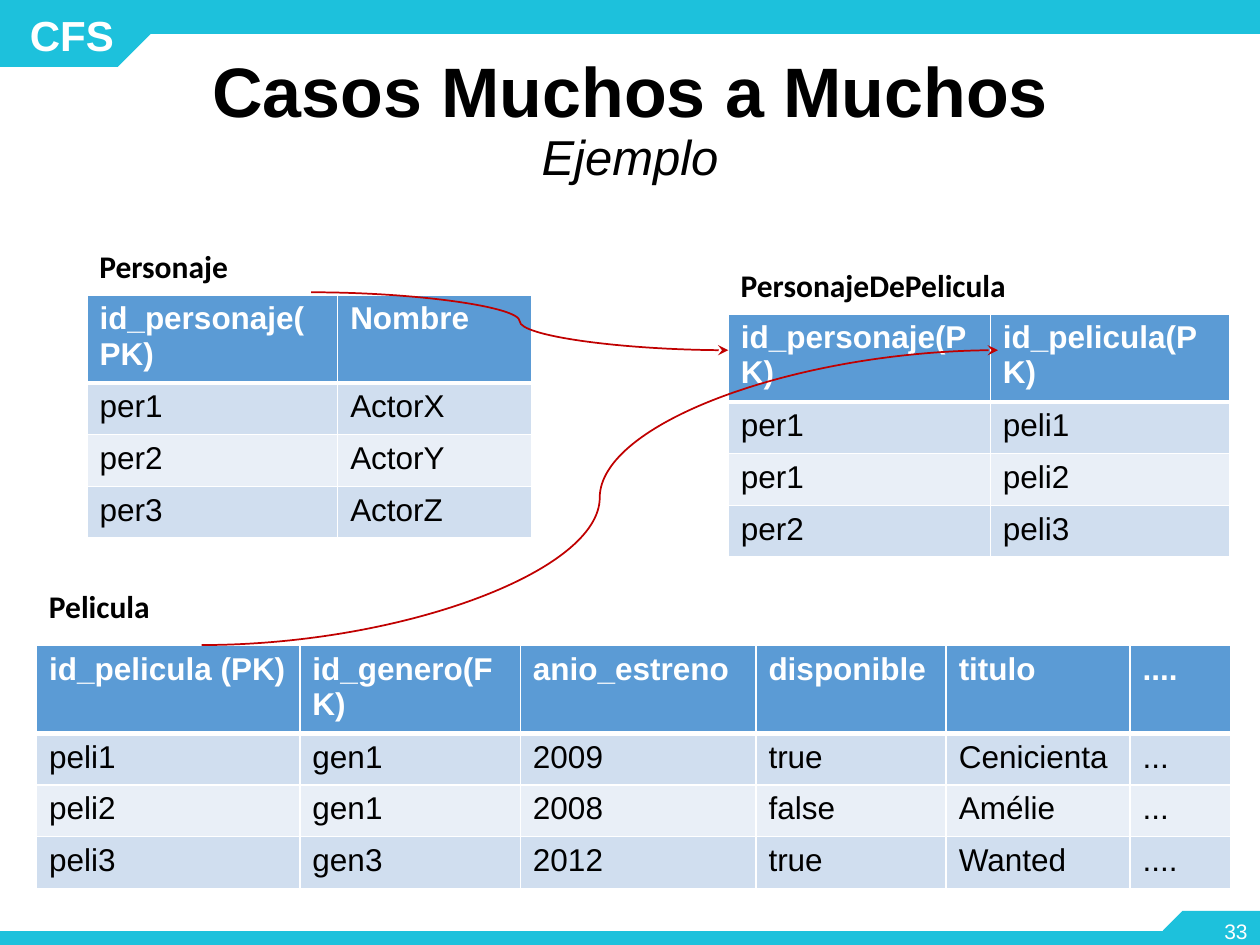
from lxml.etree import SubElement
from pptx import Presentation
from pptx.dml.color import RGBColor
from pptx.enum.shapes import MSO_CONNECTOR as Link, MSO_SHAPE as Preset
from pptx.enum.text import MSO_ANCHOR as Anchor, PP_ALIGN as Align
from pptx.oxml.ns import qn
from pptx.util import Inches, Pt

CYAN = RGBColor(0x1D, 0xC1, 0xDC)
WHITE = RGBColor(0xFF, 0xFF, 0xFF)
BLACK = RGBColor(0x00, 0x00, 0x00)
RED = RGBColor(0xC0, 0x00, 0x00)
HEADER = RGBColor(0x5B, 0x9B, 0xD5)
BANDS = [RGBColor(0xE9, 0xEF, 0xF7), RGBColor(0xD0, 0xDE, 0xEF)]

# The page is a grid of 100 columns by 75 rows
UNIT = Inches(0.1)
ROW_HEIGHT = 4.1


def grid(*cells):
    return [round(cell * UNIT) for cell in cells]


def add_label(page, area, text, font_name, size, color, bold=False,
              align=Align.LEFT, anchor=Anchor.TOP):
    box = page.shapes.add_textbox(*grid(*area))
    frame = box.text_frame
    frame.word_wrap = True
    frame.vertical_anchor = anchor
    para = frame.paragraphs[0]
    para.text = text
    para.alignment = align
    para.font.name, para.font.size = font_name, Pt(size)
    para.font.bold, para.font.color.rgb = bold, color


deck = Presentation()
deck.slide_width, deck.slide_height = grid(100, 75)
page = deck.slides.add_slide(deck.slide_layouts[5])

# Bands and corner tabs
for preset, area, turn in [
    (Preset.RECTANGLE, (0, 73.9, 100, 1.6), 0),
    (Preset.SNIP_1_RECTANGLE, (92.3, 72.3, 7.7, 3.1), 0),
    (Preset.RECTANGLE, (11.2, 0, 88.8, 2.7), 0),
    (Preset.SNIP_1_RECTANGLE, (0, 0, 12, 5.3), 180),
]:
    band = page.shapes.add_shape(preset, *grid(*area))
    band.shadow.inherit = False
    band.fill.solid()
    band.fill.fore_color.rgb = CYAN
    band.line.fill.background()
    band.rotation = turn
    if preset == Preset.SNIP_1_RECTANGLE:
        band.adjustments[0] = 0.5
        band.element.spPr.get_or_add_xfrm().set("flipH", "1")

add_label(page, (0.7, 0.4, 10, 4.7), "CFS", "Arial", 24, WHITE, True,
          Align.CENTER, Anchor.MIDDLE)
add_label(page, (93.9, 71.9, 6.1, 4), "33", "Arial", 12, WHITE, False,
          Align.RIGHT, Anchor.MIDDLE)

# Title and subtitle
title = page.shapes.title
title.left, title.top, title.width, title.height = grid(6.9, 3, 86.2, 13.3)
title.text_frame.vertical_anchor = Anchor.MIDDLE
para = title.text_frame.paragraphs[0]
para.alignment = Align.CENTER
para.line_spacing = 0.9
para.font.name, para.font.color.rgb = "Arial", BLACK
heading = para.add_run()
heading.text = "Casos Muchos a Muchos"
heading.font.size, heading.font.bold = Pt(40), True
para.add_line_break()
subtitle = para.add_run()
subtitle.text = "Ejemplo"
subtitle.font.size, subtitle.font.italic = Pt(28), True

# Tables: name, name area, left, top, column widths, rows
tables = [
    ("Personaje", (6.9, 19.1, 12.3, 4), 6.9, 23.4, [19.9, 15.4], [
        ["id_personaje(PK)", "Nombre"],
        ["per1", "ActorX"],
        ["per2", "ActorY"],
        ["per3", "ActorZ"],
    ]),
    ("Pelicula", (2.9, 46.1, 10.1, 4), 2.9, 51.2,
     [20.9, 17.5, 18.7, 15.1, 14.6, 8], [
        ["id_pelicula (PK)", "id_genero(FK)", "anio_estreno", "disponible",
         "titulo", "...."],
        ["peli1", "gen1", "2009", "true", "Cenicienta", "..."],
        ["peli2", "gen1", "2008", "false", "Amélie", "..."],
        ["peli3", "gen3", "2012", "true", "Wanted", "...."],
    ]),
    ("PersonajeDePelicula", (57.8, 20.6, 23.2, 4), 57.8, 24.9, [20.8, 19], [
        ["id_personaje(PK)", "id_pelicula(PK)"],
        ["per1", "peli1"],
        ["per1", "peli2"],
        ["per2", "peli3"],
    ]),
]
for name, name_area, left, top, widths, rows in tables:
    add_label(page, name_area, name, "Calibri", 18, BLACK, True)
    area = grid(left, top, sum(widths), ROW_HEIGHT * len(rows))
    table = page.shapes.add_table(len(rows), len(widths), *area).table
    for column, width in zip(table.columns, grid(*widths)):
        column.width = width
    for r, row in enumerate(rows):
        for c, text in enumerate(row):
            cell = table.cell(r, c)
            # White borders, thick between the header and the body
            thick = {0: "a:lnB", 1: "a:lnT"}.get(r)
            for side in ("a:lnL", "a:lnR", "a:lnT", "a:lnB"):
                width = Pt(3 if side == thick else 1)
                border = SubElement(cell._tc.get_or_add_tcPr(), qn(side), w=str(width))
                paint = SubElement(border, qn("a:solidFill"))
                SubElement(paint, qn("a:srgbClr"), val=str(WHITE))
            cell.fill.solid()
            cell.fill.fore_color.rgb = BANDS[r % 2] if r else HEADER
            cell.text = text
            font = cell.text_frame.paragraphs[0].font
            font.name, font.size, font.bold = "Arial", Pt(18), r == 0
            font.color.rgb = BLACK if r else WHITE

# Arrows from each key to its reference
for ends in [(24.7, 23.2, 57.8, 27.8), (16, 51.2, 79.2, 27.8)]:
    arrow = page.shapes.add_connector(Link.CURVE, *grid(*ends))
    arrow.line.color.rgb = RED
    arrow.line.width = Pt(1)
    SubElement(arrow.line._get_or_add_ln(), qn("a:tailEnd"), type="stealth")
    SubElement(arrow.element.spPr, qn("a:effectLst"))

deck.save("out.pptx")
